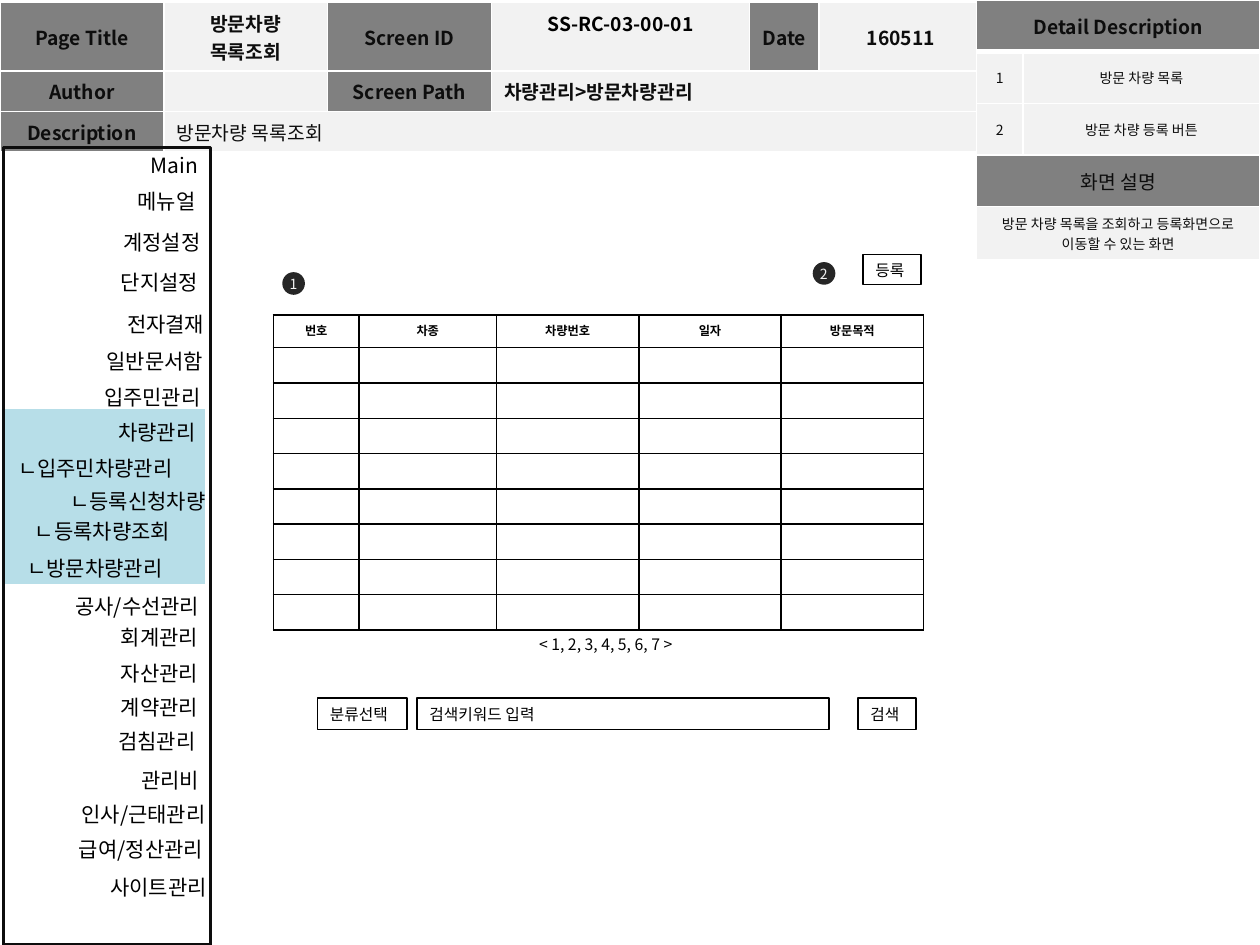
from dataclasses import dataclass

import pptx
import pptx.dml.color
import pptx.enum.shapes
import pptx.enum.text
import pptx.oxml.ns
import pptx.util
from lxml import etree
from pptx.util import Inches

ALIGN = pptx.enum.text.PP_ALIGN
ANCHOR = pptx.enum.text.MSO_ANCHOR
SHAPE = pptx.enum.shapes.MSO_SHAPE


@dataclass(frozen=True)
class Theme:
    font: str = "Noto Sans CJK KR"
    black: str = "000000"
    ink: str = "0D0D0D"
    white: str = "FFFFFF"
    label: str = "808080"
    value: str = "F2F2F2"
    highlight: str = "B7DEE8"
    marker: str = "262626"
    menu: float = 12
    heading: float = 11
    control: float = 9
    note: float = 8
    grid: float = 7


T = Theme()

# text, left, top of each menu entry
MENU = [
    ("Main", 0.02, 1.16), ("메뉴얼", 0, 1.45), ("계정설정", 0.04, 1.77),
    ("단지설정", 0.02, 2.09), ("전자결재", 0.07, 2.42), ("일반문서함", 0.06, 2.72),
    ("입주민관리", 0.04, 3), ("차량관리", 0, 3.28), ("ㄴ등록신청차량", 0.08, 3.83),
    ("공사/수선관리", 0.03, 4.66), ("회계관리", 0.02, 4.91), ("자산관리", 0.02, 5.19),
    ("계약관리", 0.02, 5.46), ("검침관리", 0, 5.73), ("관리비", 0.03, 6.04),
    ("인사/근태관리", 0.08, 6.31), ("급여/정산관리", 0.06, 6.59), ("사이트관리", 0.09, 6.89),
]
# text, left, top, width, right margin
SUBMENU = [
    ("ㄴ입주민차량관리", 0.01, 3.57, 1.65, 0.29),
    ("ㄴ등록차량조회", 0.08, 4.07, 1.65, 0.38),
    ("ㄴ방문차량관리", 0.12, 4.36, 1.38, 0.21),
]
CONTROLS = [
    ("검색키워드 입력", 3.31, 5.54, 3.27, 0.25),
    ("분류선택", 2.52, 5.54, 0.71, 0.25),
    ("검색", 6.81, 5.54, 0.46, 0.25),
    ("등록", 6.85, 2.02, 0.46, 0.24),
]


def rgb(value):
    return pptx.dml.color.RGBColor.from_string(value)


def set_all(obj, **values):
    for name, value in values.items():
        setattr(obj, name, value)


def write(tf, text, size, color, align=ALIGN.LEFT, bold=False):
    p = tf.paragraphs[0]
    p.alignment = align
    r = p.add_run()
    r.text = text
    set_all(r.font, size=pptx.util.Pt(size), name=T.font, bold=bold)
    r.font.color.rgb = rgb(color)
    ea = etree.SubElement(r.font._element, pptx.oxml.ns.qn("a:ea"))
    ea.set("typeface", T.font)


def add_box(shapes, kind, at, fill=None, line=None, width=0.75):
    sp = shapes.add_shape(kind, *map(Inches, at))
    sp.shadow.inherit = False
    if fill:
        sp.fill.solid()
        sp.fill.fore_color.rgb = rgb(fill)
    else:
        sp.fill.background()
    if line:
        sp.line.color.rgb = rgb(line)
        sp.line.width = pptx.util.Pt(width)
    else:
        sp.line.fill.background()
    return sp


def add_text(shapes, text, at, size, color, align=ALIGN.LEFT, wrap=False, margins=(0.1, 0.1)):
    tf = shapes.add_textbox(*map(Inches, at)).text_frame
    left, right = map(Inches, margins)
    set_all(tf, word_wrap=wrap, margin_left=left, margin_right=right)
    write(tf, text, size, color, align)


def add_control(shapes, text, *at):
    tf = add_box(shapes, SHAPE.RECTANGLE, at, line=T.black).text_frame
    set_all(tf, word_wrap=False, vertical_anchor=ANCHOR.TOP)
    write(tf, text, T.control, T.black)


def add_marker(shapes, number, left, top):
    group = shapes.add_group_shape().shapes
    add_box(group, SHAPE.OVAL, (left, top, 0.18, 0.18), fill=T.marker)
    add_text(group, number, (left - 0.04, top - 0.02, 0.27, 0.24), T.note, T.value)


def add_table(shapes, left, top, cols, rows):
    size = sum(cols), sum(rows)
    table = shapes.add_table(len(rows), len(cols), *map(Inches, (left, top, *size))).table
    set_all(table, first_row=False, horz_banding=False)
    for col, width in zip(table.columns, cols):
        col.width = Inches(width)
    for row, height in zip(table.rows, rows):
        row.height = Inches(height)
    return table


def format_cell(cell, line, fill=None, edges="LRTB", thick_bottom=False):
    """Draw borders, set the fill and keep an empty cell from growing."""
    tc_pr = cell._tc.get_or_add_tcPr()
    for edge in edges:
        points = 3 if thick_bottom and edge == "B" else 1
        ln = etree.SubElement(tc_pr, pptx.oxml.ns.qn(f"a:ln{edge}"), w=str(pptx.util.Pt(points)))
        solid = etree.SubElement(ln, pptx.oxml.ns.qn("a:solidFill"))
        etree.SubElement(solid, pptx.oxml.ns.qn("a:srgbClr"), val=line)
    if fill:
        cell.fill.solid()
        cell.fill.fore_color.rgb = rgb(fill)
    else:
        cell.fill.background()
    p = cell.text_frame.paragraphs[0]
    end = etree.SubElement(p._p, pptx.oxml.ns.qn("a:endParaRPr"))
    end.set("sz", str(T.grid * 100))


def add_page_header(shapes):
    table = add_table(shapes, 0, 0.02, [1.3, 1.3, 1.3, 2.05, 0.55, 1.3], [0.54, 0.32, 0.32])
    table.cell(1, 3).merge(table.cell(1, 5))
    table.cell(2, 1).merge(table.cell(2, 5))
    texts = [
        ["Page Title", "방문차량 목록조회", "Screen ID", "SS-RC-03-00-01", "Date", "160511"],
        ["Author", "", "Screen Path", "차량관리>방문차량관리"],
        ["Description", "방문차량 목록조회"],
    ]
    labels = {"Page Title", "Screen ID", "Date", "Author", "Screen Path", "Description"}
    for i, row in enumerate(texts):
        for j, text in enumerate(row):
            cell = table.cell(i, j)
            if text:
                align = ALIGN.LEFT if cell.is_merge_origin else ALIGN.CENTER
                color = T.black if i == 0 and j == 3 else T.ink
                write(cell.text_frame, text, T.heading, color, align, bold=(i, j) != (2, 1))
            format_cell(cell, T.white, T.label if text in labels else T.value,
                        edges="LRTB" if i else "B")
            cell.vertical_anchor = ANCHOR.TOP if (i, j) == (0, 3) else ANCHOR.MIDDLE


def add_detail_panel(shapes):
    table = add_table(shapes, 7.75, 0, [0.37, 1.88], [0.41] * 5)
    texts = [["Detail Description"], ["1", "방문 차량 목록"], ["2", "방문 차량 등록 버튼"],
             ["화면 설명"], ["방문 차량 목록을 조회하고 등록화면으로 이동할 수 있는 화면"]]
    for i, row in enumerate(texts):
        heading = i in (0, 3)
        if len(row) == 1:
            table.cell(i, 0).merge(table.cell(i, 1))
        for j, text in enumerate(row):
            cell = table.cell(i, j)
            write(cell.text_frame, text, T.heading if heading else T.note, T.ink,
                  ALIGN.CENTER, bold=i == 0)
            format_cell(cell, T.white, T.label if heading else T.value, thick_bottom=i == 0)
            cell.vertical_anchor = ANCHOR.MIDDLE


def add_visitor_list(shapes):
    table = add_table(shapes, 2.17, 2.5, [0.68, 1.09] + [1.13] * 3, [0.26] + [0.28] * 8)
    for cell, text in zip(table.rows[0].cells, ["번호", "차종", "차량번호", "일자", "방문목적"]):
        write(cell.text_frame, text, T.grid, T.black, ALIGN.CENTER, bold=True)
    for cell in table.iter_cells():
        format_cell(cell, T.black)


def add_menu(shapes):
    add_box(shapes, SHAPE.RECTANGLE, (0, 3.23, 1.64, 1.42), T.highlight, T.white, 2)
    add_box(shapes, SHAPE.RECTANGLE, (0.03, 1.17, 1.64, 6.33), line=T.ink, width=2)
    entries = [(*entry, 1.65, 0.1) for entry in MENU] + SUBMENU
    for text, left, top, width, right in entries:
        add_text(shapes, text, (left, top, width, 0.3), T.menu, T.black,
                 ALIGN.RIGHT, wrap=True, margins=(0, right))


def main():
    prs = pptx.Presentation()
    set_all(prs, slide_width=Inches(10), slide_height=Inches(7.5))
    shapes = prs.slides.add_slide(prs.slide_layouts[6]).shapes
    add_page_header(shapes)
    add_detail_panel(shapes)
    add_text(shapes, "< 1, 2, 3, 4, 5, 6, 7 >", (4.18, 4.99, 1.39, 0.25), T.control, T.black)
    add_visitor_list(shapes)
    for control in CONTROLS:
        add_control(shapes, *control)
    add_menu(shapes)
    add_marker(shapes, "2", 6.45, 2.08)
    add_marker(shapes, "1", 2.24, 2.16)
    prs.save("out.pptx")


if __name__ == "__main__":
    main()
